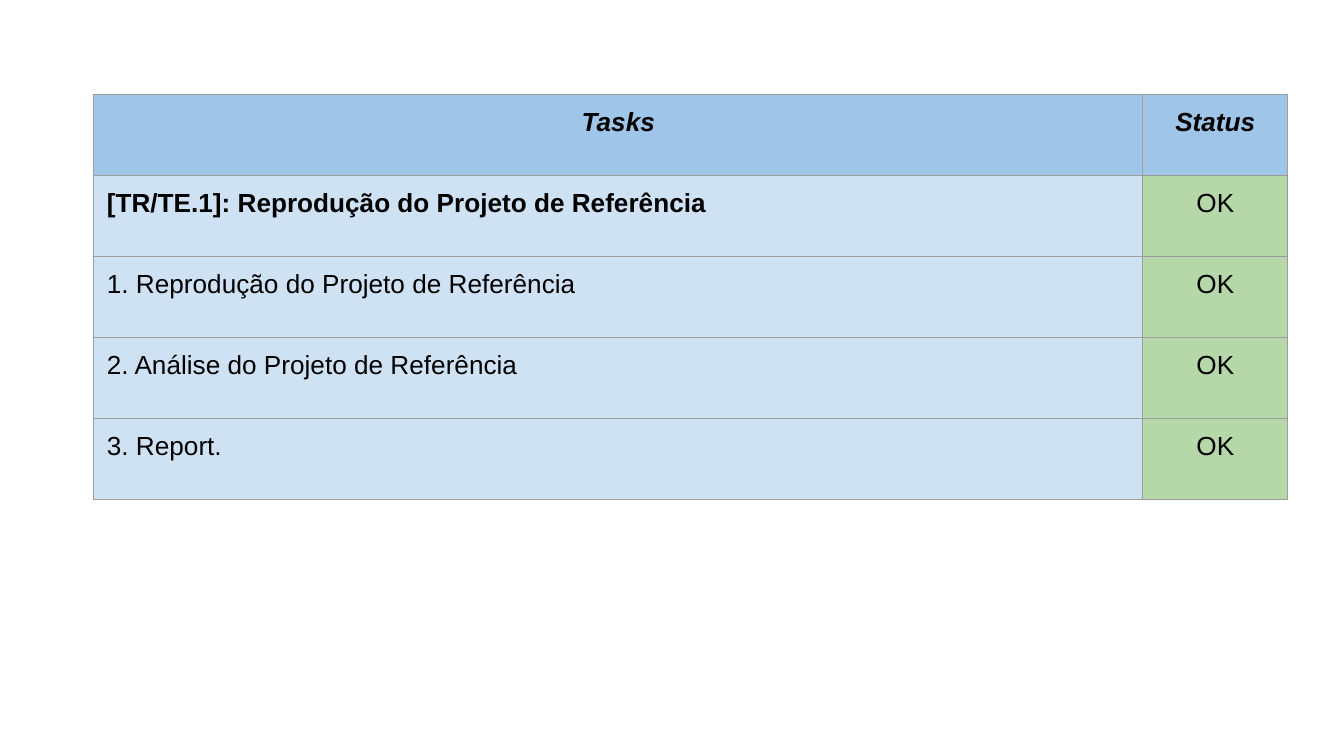
from dataclasses import dataclass
from typing import NamedTuple

from lxml.etree import SubElement
from pptx import Presentation
from pptx.dml.color import RGBColor as RGB
from pptx.enum.text import MSO_ANCHOR as Anchor, PP_ALIGN as Align
from pptx.oxml.ns import qn
from pptx.util import Cm, Pt


@dataclass(frozen=True)
class Theme:
    font: str = "Arial"
    size: float = 14
    text: str = "000000"
    header: str = "9FC5E8"
    task: str = "CFE2F3"
    done: str = "B6D7A8"
    border: str = "9E9E9E"
    accent_border: str = "999999"
    border_width: float = 0.75


class TaskRow(NamedTuple):
    task: str
    status: str
    bold: bool = False
    header: bool = False


THEME = Theme()
ROWS = [
    TaskRow("Tasks", "Status", bold=True, header=True),
    TaskRow("[TR/TE.1]: Reprodução do Projeto de Referência", "OK", bold=True),
    TaskRow("1. Reprodução do Projeto de Referência", "OK"),
    TaskRow("2. Análise do Projeto de Referência", "OK"),
    TaskRow("3. Report.", "OK"),
]
COL_WIDTHS = (Cm(19.83), Cm(2.74))
ROW_HEIGHT = Cm(1.53)
LEFT, TOP = Cm(1.77), Cm(1.79)
# Sides of the main task's status cell, seen from it and its neighbours
ACCENT_SIDES = {(1, 1): "LTRB", (0, 1): "B", (1, 0): "R", (2, 1): "T"}


def set_borders(cell, accents: str) -> None:
    """Draw the four sides; the fill must be set afterwards."""
    tcPr = cell._tc.get_or_add_tcPr()
    for side in "LRTB":
        color = THEME.accent_border if side in accents else THEME.border
        ln = SubElement(tcPr, qn(f"a:ln{side}"), w=str(Pt(THEME.border_width)))
        fill = SubElement(ln, qn("a:solidFill"))
        SubElement(fill, qn("a:srgbClr"), val=color)


def format_cell(cell, text: str, fill: str, align: Align, bold: bool,
                italic: bool, accents: str) -> None:
    layout = dict.fromkeys(
        ("margin_left", "margin_right", "margin_top", "margin_bottom"), Cm(0.25))
    layout["vertical_anchor"] = Anchor.TOP
    for name, value in layout.items():
        setattr(cell, name, value)
    set_borders(cell, accents)
    cell.fill.solid()
    cell.fill.fore_color.rgb = RGB.from_string(fill)

    p = cell.text_frame.paragraphs[0]
    p.alignment = align
    r = p.add_run()
    r.text = text
    style = {"name": THEME.font, "size": Pt(THEME.size),
             "bold": bold, "italic": italic}
    for name, value in style.items():
        setattr(r.font, name, value)
    r.font.color.rgb = RGB.from_string(THEME.text)


def add_task_table(s, rows: list[TaskRow]) -> None:
    table = s.shapes.add_table(len(rows), len(COL_WIDTHS), LEFT, TOP,
                               sum(COL_WIDTHS), ROW_HEIGHT * len(rows)).table
    table.first_row = table.horz_banding = False
    for col, width in zip(table.columns, COL_WIDTHS):
        col.width = width

    for i, row in enumerate(rows):
        table.rows[i].height = ROW_HEIGHT
        # Task column, then status column
        task_align = Align.CENTER if row.header else Align.JUSTIFY
        cells = (
            (row.task, THEME.task, task_align, row.bold),
            (row.status, THEME.done, Align.CENTER, row.header),
        )
        for j, (text, fill, align, bold) in enumerate(cells):
            format_cell(table.cell(i, j), text,
                        THEME.header if row.header else fill, align, bold,
                        row.header, ACCENT_SIDES.get((i, j), ""))


def main() -> None:
    prs = Presentation()
    prs.slide_width, prs.slide_height = Cm(25.4), Cm(14.29)
    # Blank layout: the slide has no title
    s = prs.slides.add_slide(prs.slide_layouts[6])
    add_task_table(s, ROWS)
    prs.save("out.pptx")


if __name__ == "__main__":
    main()
